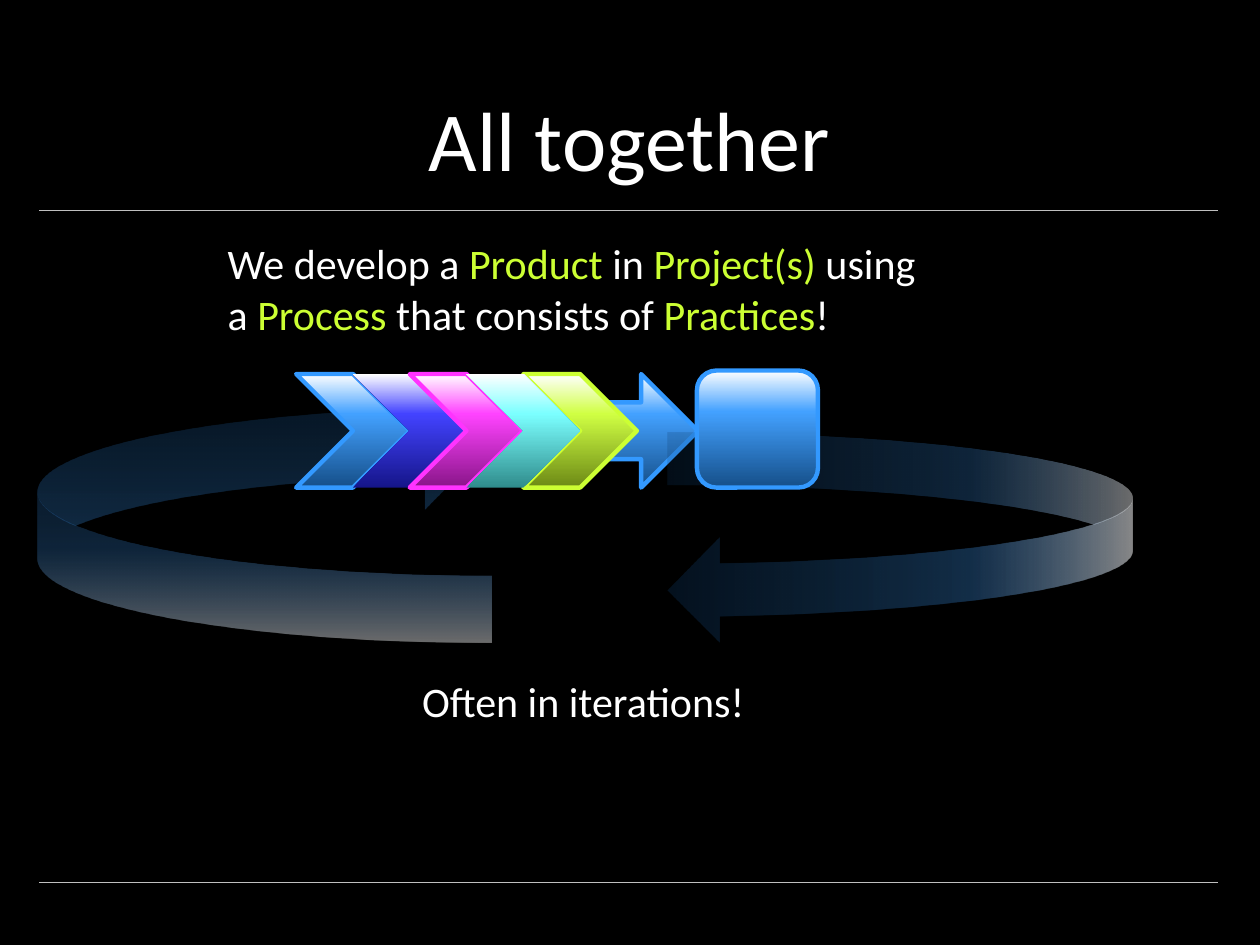
from lxml import etree
from pptx import Presentation
from pptx import util as u
from pptx.dml import color
from pptx.enum import shapes, text
from pptx.oxml import ns

WHITE, LIME, BLACK, GREY = "FFFFFF", "CCFF33", "000000", "BFBFBF"
SKY = "3399FF"
# Gradients run from the dark foot, through the main tone, to white
BLUE = ("154F89", "43A1FF", WHITE)
NAVY = ("151589", "4343FF", WHITE)
PINK = ("891589", "FF43FF", WHITE)
CYAN = ("2F8C8C", "7BFFFF", WHITE)
GREEN = ("6C8915", "D0FF43", WHITE)
STOPS = (0, 65, 100)
OPAQUE, GLASSY = (100, 100, 100), (22, 28, 53)


def rgb(value):
    return color.RGBColor.from_string(value)


def place(left, top, width, height):
    return [u.Cm(value) for value in (left, top, width, height)]


def apply(target, values):
    for name, value in values.items():
        setattr(target, name, value)


class SlideBuilder:
    def __init__(self, deck):
        self.font = {"name": "Calibri", "size": u.Pt(24)}
        self.slide = deck.slides.add_slide(deck.slide_layouts[5])
        background = self.slide.background.fill
        background.solid()
        background.fore_color.rgb = rgb(BLACK)

    def add_spans(self, para, spans, **changes):
        for words, tone in spans:
            span = para.add_run()
            span.text = words
            apply(span.font, {**self.font, **changes})
            span.font.color.rgb = rgb(tone)

    def title(self, words, frame):
        box = self.slide.shapes.title
        apply(box, dict(zip(("left", "top", "width", "height"), place(*frame))))
        apply(box.text_frame, {"vertical_anchor": text.MSO_ANCHOR.BOTTOM,
                               "word_wrap": True})
        para = box.text_frame.paragraphs[0]
        para.alignment = text.PP_ALIGN.CENTER
        self.add_spans(para, [(words, WHITE)], size=u.Pt(48))

    def text(self, frame, lines):
        box = self.slide.shapes.add_textbox(*place(*frame))
        apply(box.text_frame, {"word_wrap": False,
                               "auto_size": text.MSO_AUTO_SIZE.SHAPE_TO_FIT_TEXT})
        for index, spans in enumerate(lines):
            para = box.text_frame.add_paragraph() if index else box.text_frame.paragraphs[0]
            self.add_spans(para, spans)

    def rule(self, left, top, width):
        line = self.slide.shapes.add_connector(
            shapes.MSO_CONNECTOR.STRAIGHT, *place(left, top, left + width, top))
        line.line.color.rgb = rgb(GREY)
        line.line.width = u.Pt(0.25)
        etree.SubElement(line.element.spPr, ns.qn("a:effectLst"))

    def shape(self, kind, frame, tones, outline=None, rotation=0, alphas=OPAQUE):
        shape = self.slide.shapes.add_shape(kind, *place(*frame))
        shape.shadow.inherit = False
        shape.rotation = rotation
        shape.fill.gradient()
        shape.fill.gradient_angle = 90
        stop_list = shape.element.spPr.find(".//" + ns.qn("a:gsLst"))
        for stop in list(stop_list):
            stop_list.remove(stop)
        for position, tone, alpha in zip(STOPS, tones, alphas):
            stop = etree.SubElement(stop_list, ns.qn("a:gs"), pos=str(position * 1000))
            shade = etree.SubElement(stop, ns.qn("a:srgbClr"), val=tone)
            if alpha < 100:
                etree.SubElement(shade, ns.qn("a:alpha"), val=str(alpha * 1000))
        if outline:
            shape.line.color.rgb = rgb(outline)
            shape.line.width = u.Pt(2.5)
        else:
            shape.line.fill.background()


def main():
    deck = Presentation()
    deck.slide_width, deck.slide_height = u.Cm(25.4), u.Cm(19.05)
    page = SlideBuilder(deck)
    kinds = shapes.MSO_SHAPE

    # Rules and title
    for top in (4.24, 17.78):
        page.rule(0.79, top, 23.77)
    page.title("All together", (1.78, 0.3, 21.82, 3.63))

    # Project arrow and the statement above it
    row_top, size = 7.54, 2.29
    page.shape(kinds.RIGHT_ARROW, (7.77, row_top, 6.3, size), BLUE, SKY)
    page.text((4.34, 4.67, 14.66, 2.31), [
        [("We develop a ", WHITE), ("Product ", LIME), ("in ", WHITE),
         ("Project(s)", LIME), (" using", WHITE)],
        [("a ", WHITE), ("Process ", LIME), ("that consists of ", WHITE),
         ("Practices", LIME), ("!", WHITE)],
    ])

    # Iteration loop
    page.shape(kinds.CURVED_LEFT_ARROW, (0.76, row_top, 9.14, 5.41), BLUE,
               rotation=180, alphas=GLASSY)
    page.shape(kinds.CURVED_DOWN_ARROW, (16.03, 6.15, 4.24, 9.37), BLUE,
               rotation=90, alphas=GLASSY)
    page.text((8.26, 13.49, 7.16, 1.27), [[("Often in iterations!", WHITE)]])

    # Practices: overlapping chevrons, the last one at the back
    chevrons = [(4, GREEN, LIME), (0, BLUE, SKY), (1, NAVY, None),
                (2, PINK, "FF33FF"), (3, CYAN, None)]
    for step, tones, outline in chevrons:
        left = 5.97 + step * size / 2
        page.shape(kinds.CHEVRON, (left, row_top, size, size), tones, outline)

    # Product
    page.shape(kinds.ROUNDED_RECTANGLE, (14.05, 7.47, 2.44, 2.36), BLUE, SKY)

    deck.save("out.pptx")


if __name__ == "__main__":
    main()
